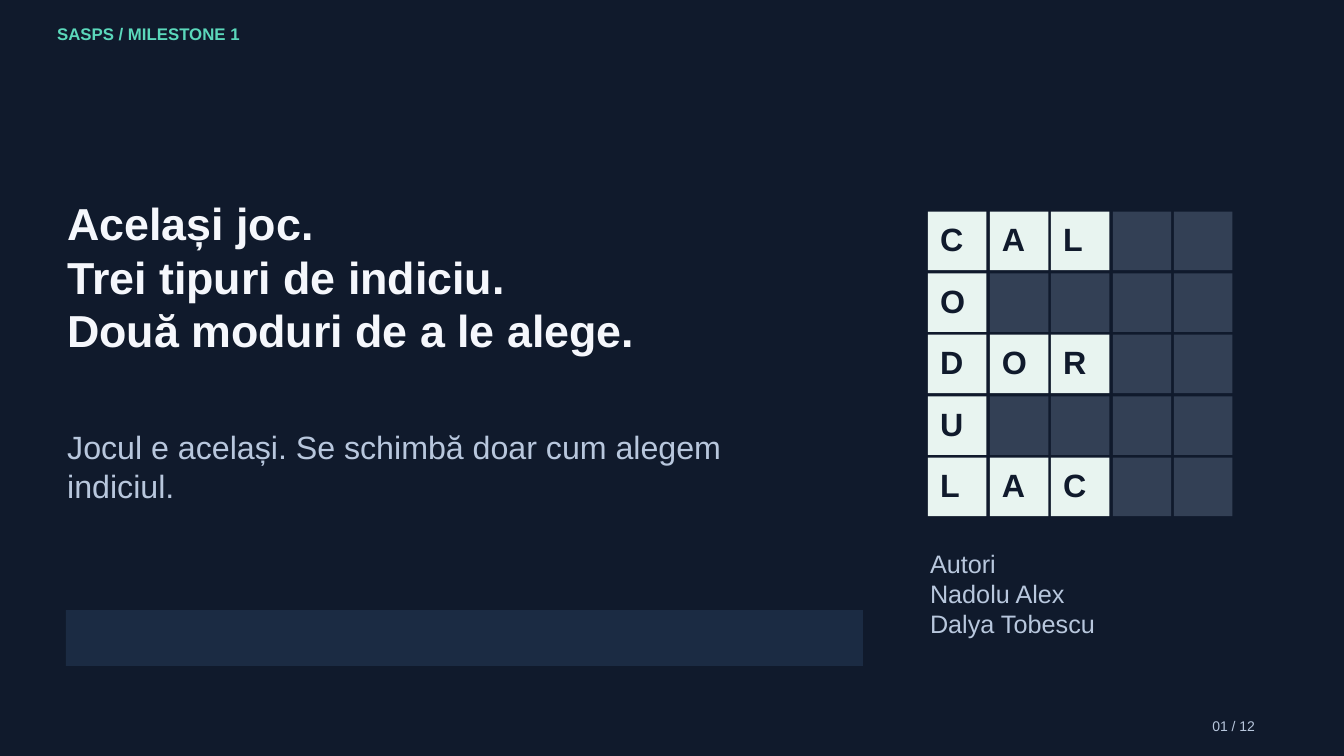
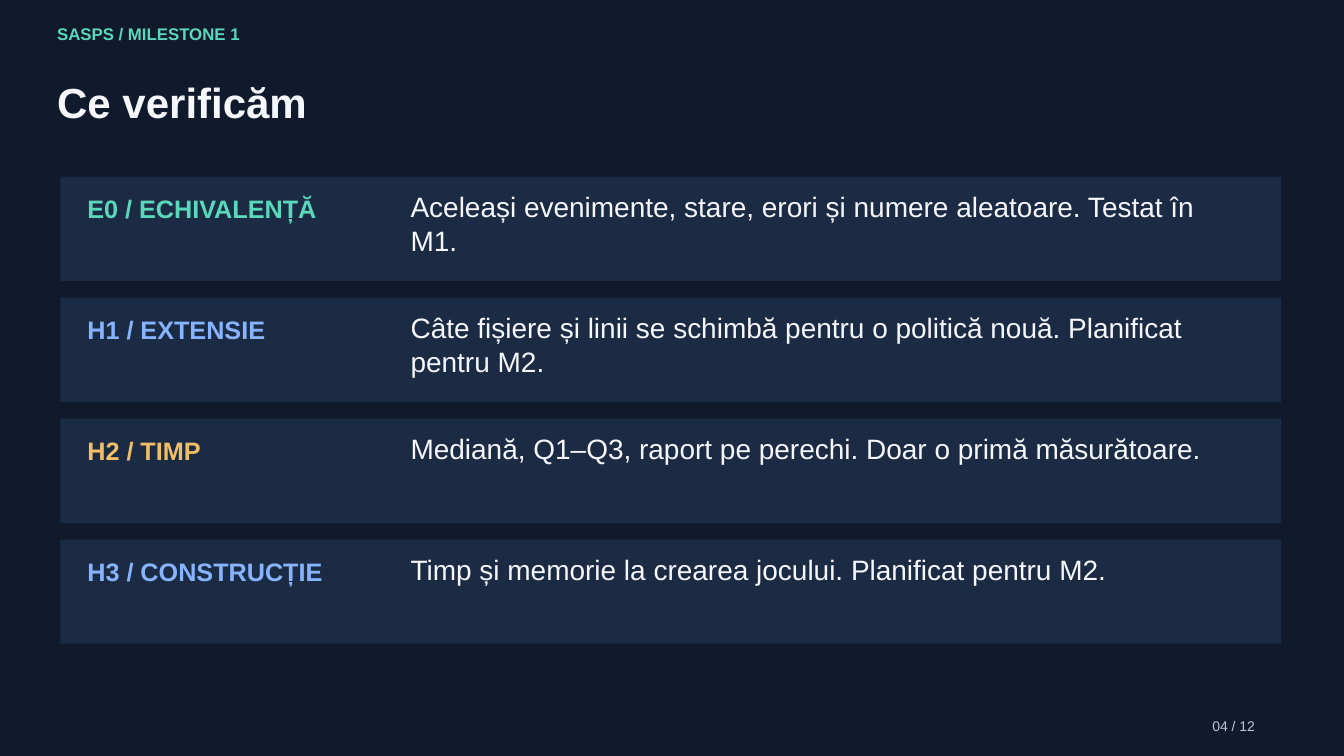
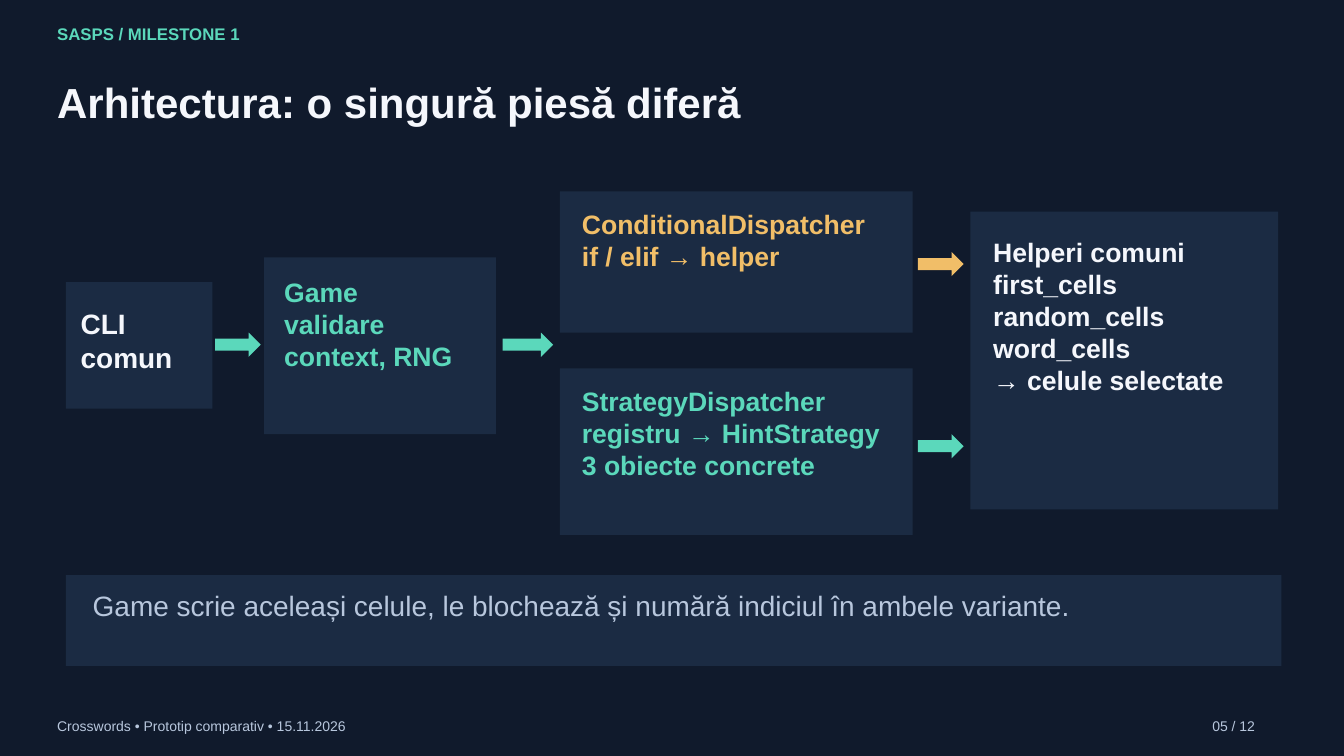
from dataclasses import dataclass
from typing import NamedTuple

from pptx import Presentation
from pptx.dml.color import RGBColor
from pptx.enum.shapes import MSO_SHAPE
from pptx.enum.text import MSO_ANCHOR, MSO_AUTO_SIZE, PP_ALIGN
from pptx.presentation import Presentation as Deck
from pptx.shapes.base import BaseShape
from pptx.slide import Slide
from pptx.util import Emu, Pt

RECTANGLE = MSO_SHAPE.RECTANGLE
RIGHT_ARROW = MSO_SHAPE.RIGHT_ARROW
TOP = MSO_ANCHOR.TOP
LEFT = PP_ALIGN.LEFT
NO_AUTOFIT = MSO_AUTO_SIZE.NONE

EMU_PER_PX = 9144  # 100 px to the inch
SLIDE_WIDTH, SLIDE_HEIGHT = 2000, 1125
TITLE_ONLY_LAYOUT = 5
SLIDE_TOTAL = 12


@dataclass(frozen=True)
class Theme:
    font: str = "Arial"
    line_height: float = 1.2
    # Colours
    background: str = "101A2C"
    panel: str = "1B2B43"
    letter_cell: str = "E8F4F0"
    blocked_cell: str = "334055"
    light: str = "F5F7FC"
    muted: str = "B8C7DD"
    mint: str = "5BD8BB"
    blue: str = "88B4FF"
    amber: str = "F1BE68"
    # Type sizes in points
    cover: float = 48
    title: float = 45
    lead: float = 34.5
    body: float = 30
    node: float = 28.5
    label: float = 27
    header: float = 18
    footer: float = 15


THEME = Theme()


class Box(NamedTuple):
    left: int
    top: int
    width: int
    height: int

    def moved(self, right: int = 0, down: int = 0) -> "Box":
        return self._replace(left=self.left + right, top=self.top + down)


@dataclass(frozen=True)
class TextStyle:
    size: float
    color: str
    bold: bool = False


@dataclass(frozen=True)
class Hypothesis:
    name: str
    color: str
    description: str


@dataclass(frozen=True)
class Node:
    panel: Box
    text_box: Box
    text: str
    color: str
    size: float = THEME.node


@dataclass(frozen=True)
class Arrow:
    box: Box
    color: str


HEADER_BOX = Box(85, 35, 1796, 55)
TITLE_BOX = Box(85, 114, 1826, 108)
FOOTER_BOX = Box(85, 1068, 1631, 40)
PAGE_BOX = Box(1804, 1068, 107, 40)
FOOTER_STYLE = TextStyle(THEME.footer, THEME.muted)

# Cover crossword: a dot is a blocked cell
CROSSWORD = ("CAL..", "O....", "DOR..", "U....", "LAC..")
FIRST_CELL = Box(1381, 315, 87, 87)
FIRST_LETTER = Box(1399, 327, 62, 76)
CELL_STEP = 91.6

# Hypothesis rows
ROW_STEP = 180
ROW_PANEL = Box(90, 263, 1816, 155)
ROW_NAME = Box(130, 288, 467, 100)
ROW_DESCRIPTION = Box(611, 282, 1240, 115)
HYPOTHESES = (
    Hypothesis("E0 / ECHIVALENȚĂ", THEME.mint,
               "Aceleași evenimente, stare, erori și numere aleatoare. Testat în\nM1."),
    Hypothesis("H1 / EXTENSIE", THEME.blue,
               "Câte fișiere și linii se schimbă pentru o politică nouă. Planificat\npentru M2."),
    Hypothesis("H2 / TIMP", THEME.amber,
               "Mediană, Q1–Q3, raport pe perechi. Doar o primă măsurătoare."),
    Hypothesis("H3 / CONSTRUCȚIE", THEME.blue,
               "Timp și memorie la crearea jocului. Planificat pentru M2."),
)

# Architecture diagram
NODES = (
    Node(Box(98, 420, 218, 188), Box(120, 456, 172, 122),
         "CLI\ncomun", THEME.light, THEME.body),
    Node(Box(393, 383, 345, 263), Box(423, 411, 287, 205),
         "Game\nvalidare\ncontext, RNG", THEME.mint),
    Node(Box(833, 285, 525, 210), Box(866, 310, 460, 152),
         "ConditionalDispatcher\nif / elif → helper", THEME.amber),
    Node(Box(833, 548, 525, 248), Box(866, 573, 460, 205),
         "StrategyDispatcher\nregistru → HintStrategy\n3 obiecte concrete", THEME.mint),
    Node(Box(1444, 315, 458, 443), Box(1478, 351, 388, 370),
         "Helperi comuni\nfirst_cells\nrandom_cells\nword_cells\n→ celule selectate",
         THEME.light),
)
ARROWS = (
    Arrow(Box(320, 495, 68, 36), THEME.mint),
    Arrow(Box(748, 495, 75, 36), THEME.mint),
    Arrow(Box(1366, 375, 68, 36), THEME.amber),
    Arrow(Box(1366, 646, 68, 36), THEME.mint),
)


def px(length: float) -> Emu:
    return Emu(round(length * EMU_PER_PX))


def set_attributes(target: object, values: dict[str, object]) -> None:
    for name, value in values.items():
        setattr(target, name, value)


def write_text(shape: BaseShape, text: str, style: TextStyle) -> None:
    """Write one paragraph per line, without insets."""
    frame = shape.text_frame
    frame.text = text
    set_attributes(frame, {
        "margin_left": 0, "margin_top": 0, "margin_right": 0, "margin_bottom": 0,
        "word_wrap": True, "auto_size": NO_AUTOFIT, "vertical_anchor": TOP,
    })
    for paragraph in frame.paragraphs:
        set_attributes(paragraph, {
            "alignment": LEFT,
            "line_spacing": Pt(style.size * THEME.line_height),
        })
        for run in paragraph.runs:
            set_attributes(run.font, {
                "name": THEME.font, "size": Pt(style.size), "bold": style.bold,
            })
            run.font.color.rgb = RGBColor.from_string(style.color)


def add_text(slide: Slide, box: Box, text: str, style: TextStyle) -> None:
    write_text(slide.shapes.add_textbox(*map(px, box)), text, style)


def add_filled(slide: Slide, box: Box, color: str = THEME.panel,
               kind: MSO_SHAPE = RECTANGLE) -> None:
    shape = slide.shapes.add_shape(kind, *map(px, box))
    shape.shadow.inherit = False
    shape.fill.solid()
    shape.fill.fore_color.rgb = RGBColor.from_string(color)
    shape.line.fill.background()


def add_slide(presentation: Deck, number: int, title: str,
              title_box: Box = TITLE_BOX, title_size: float = THEME.title) -> Slide:
    """Add a slide with its title, header and page number."""
    slide = presentation.slides.add_slide(presentation.slide_layouts[TITLE_ONLY_LAYOUT])
    placeholder = slide.shapes.title
    set_attributes(placeholder, dict(zip(Box._fields, map(px, title_box))))
    write_text(placeholder, title, TextStyle(title_size, THEME.light, True))
    add_text(slide, HEADER_BOX, "SASPS / MILESTONE 1",
             TextStyle(THEME.header, THEME.mint, True))
    add_text(slide, PAGE_BOX, f"{number:02} / {SLIDE_TOTAL}", FOOTER_STYLE)
    return slide


def add_crossword(slide: Slide) -> None:
    letter_style = TextStyle(THEME.lead, THEME.background, True)
    for row, letters in enumerate(CROSSWORD):
        for column, letter in enumerate(letters):
            offset = round(column * CELL_STEP), round(row * CELL_STEP)
            blocked = letter == "."
            add_filled(slide, FIRST_CELL.moved(*offset),
                       THEME.blocked_cell if blocked else THEME.letter_cell)
            if not blocked:
                add_text(slide, FIRST_LETTER.moved(*offset), letter, letter_style)


def build_cover(presentation: Deck) -> None:
    slide = add_slide(
        presentation, 1,
        "Același joc.\nTrei tipuri de indiciu.\nDouă moduri de a le alege.",
        Box(100, 291, 1270, 265), THEME.cover)
    add_text(slide, Box(100, 636, 1075, 190),
             "Jocul e același. Se schimbă doar cum alegem\nindiciul.",
             TextStyle(THEME.lead, THEME.muted))
    add_filled(slide, Box(98, 908, 1186, 83))
    add_crossword(slide)
    add_text(slide, Box(1384, 816, 520, 167), "Autori\nNadolu Alex\nDalya Tobescu",
             TextStyle(THEME.label, THEME.muted))


def build_hypotheses(presentation: Deck) -> None:
    slide = add_slide(presentation, 4, "Ce verificăm")
    for index, hypothesis in enumerate(HYPOTHESES):
        down = index * ROW_STEP
        add_filled(slide, ROW_PANEL.moved(down=down))
        add_text(slide, ROW_NAME.moved(down=down), hypothesis.name,
                 TextStyle(THEME.label, hypothesis.color, True))
        add_text(slide, ROW_DESCRIPTION.moved(down=down), hypothesis.description,
                 TextStyle(THEME.body, THEME.light))


def build_architecture(presentation: Deck) -> None:
    slide = add_slide(presentation, 5, "Arhitectura: o singură piesă diferă")
    for node in NODES:
        add_filled(slide, node.panel)
        add_text(slide, node.text_box, node.text, TextStyle(node.size, node.color, True))
    for arrow in ARROWS:
        add_filled(slide, arrow.box, arrow.color, RIGHT_ARROW)
    # Conclusion band and footer
    add_filled(slide, Box(98, 856, 1809, 135))
    add_text(slide, Box(138, 876, 1728, 100),
             "Game scrie aceleași celule, le blochează și numără indiciul în ambele variante.",
             TextStyle(THEME.body, THEME.muted))
    add_text(slide, FOOTER_BOX, "Crosswords • Prototip comparativ • 15.11.2026", FOOTER_STYLE)


def main() -> None:
    presentation = Presentation()
    presentation.slide_width = px(SLIDE_WIDTH)
    presentation.slide_height = px(SLIDE_HEIGHT)
    background = presentation.slide_master.background.fill
    background.solid()
    background.fore_color.rgb = RGBColor.from_string(THEME.background)
    build_cover(presentation)
    build_hypotheses(presentation)
    build_architecture(presentation)
    presentation.save("out.pptx")


if __name__ == "__main__":
    main()
